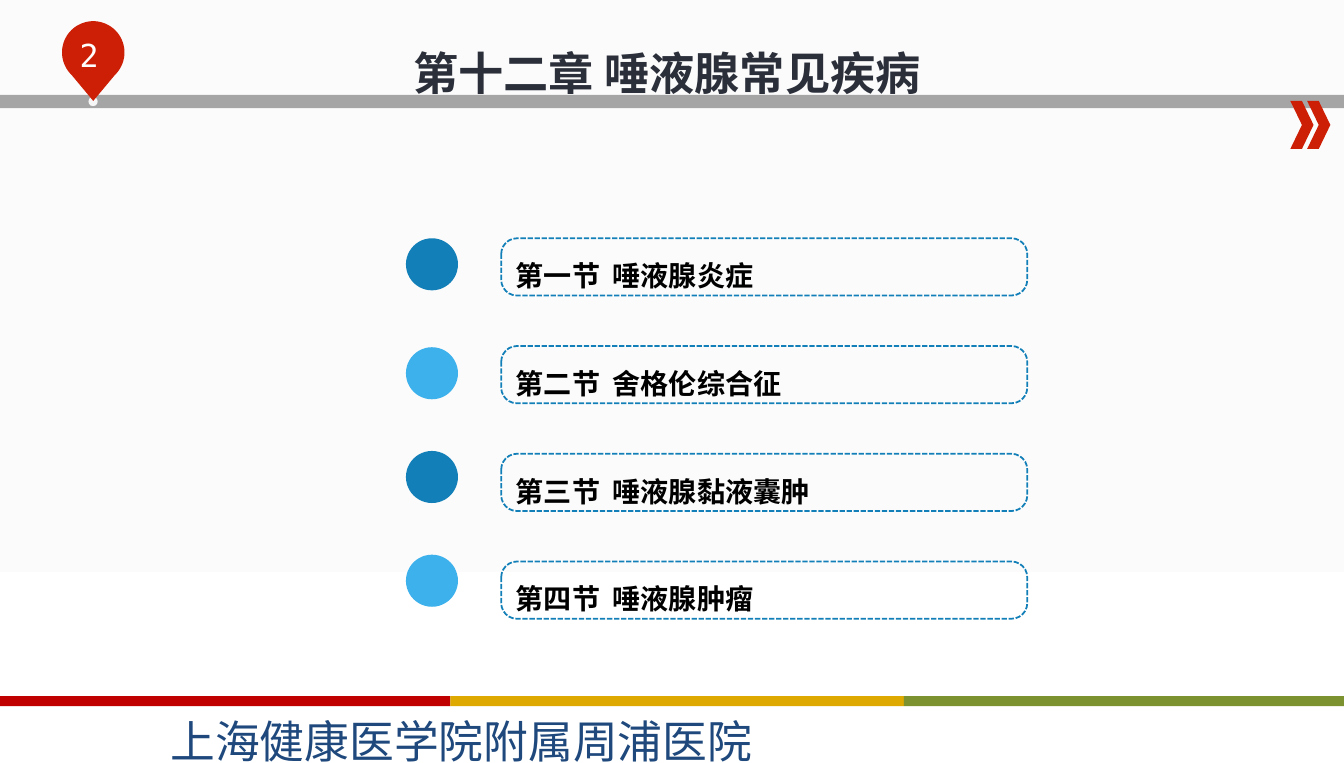
from copy import deepcopy
from math import cos, radians, sin

from lxml import etree
from pptx import Presentation
from pptx.dml.color import RGBColor
from pptx.enum.dml import MSO_LINE
from pptx.enum.shapes import MSO_SHAPE
from pptx.enum.text import MSO_ANCHOR, PP_ALIGN
from pptx.oxml.ns import qn
from pptx.util import Cm, Pt

RECT, OVAL = MSO_SHAPE.RECTANGLE, MSO_SHAPE.OVAL
CHEVRON, ROUND = MSO_SHAPE.CHEVRON, MSO_SHAPE.ROUNDED_RECTANGLE
DASH = MSO_LINE.SQUARE_DOT
LEFT, CENTER = PP_ALIGN.LEFT, PP_ALIGN.CENTER
MIDDLE = MSO_ANCHOR.MIDDLE

BLACK = RGBColor(0x00, 0x00, 0x00)
WHITE = RGBColor(0xFF, 0xFF, 0xFF)
PAPER = RGBColor(0xFB, 0xFB, 0xFB)
PALE = RGBColor(0xF6, 0xF6, 0xF6)
GRAY = RGBColor(0xA5, 0xA5, 0xA5)
INK = RGBColor(0x2B, 0x2F, 0x3A)
NAVY = RGBColor(0x1F, 0x49, 0x7D)
RED = RGBColor(0xCD, 0x1F, 0x06)
CRIMSON = RGBColor(0xC0, 0x00, 0x00)
GOLD = RGBColor(0xDE, 0xA9, 0x00)
GREEN = RGBColor(0x7C, 0x91, 0x2F)
BLUE = RGBColor(0x12, 0x7F, 0xB8)
SKY = RGBColor(0x3C, 0xB1, 0xEC)
HAN = "Noto Sans CJK SC"


def draw(kind, left, top, width, height, fill=None):
    """Add a preset shape, sized in cm, with a plain fill and no line."""
    shape = slide.shapes.add_shape(kind, Cm(left), Cm(top), Cm(width), Cm(height))
    shape.shadow.inherit = False
    shape.line.fill.background()
    if fill is None:
        shape.fill.background()
    else:
        shape.fill.solid()
        shape.fill.fore_color.rgb = fill
    return shape


def write(shape, text, size, font, color, bold=False, align=LEFT, wrap=True):
    shape.text_frame.word_wrap = wrap
    para = shape.text_frame.paragraphs[0]
    para.alignment = align
    run = para.add_run()
    run.text = text
    run.font.size = Pt(size)
    run.font.name = font
    run.font.bold = bold
    run.font.color.rgb = color
    etree.SubElement(run.font._element, qn("a:ea"), typeface=HAN)
    return para


deck = Presentation()
deck.slide_width = Cm(33.57)
deck.slide_height = Cm(19.05)
slide = deck.slides.add_slide(deck.slide_layouts[6])

# Background: even to the middle, then fading to white
back = slide.background.fill
back.gradient()
back.gradient_angle = 270
first = next(slide._element.iter(qn("a:gs")))
first.addnext(deepcopy(first))
for stop, place, color in zip(back.gradient_stops, (0, 0.5, 1), (PAPER, PAPER, WHITE)):
    stop.position = place
    stop.color.rgb = color

# Header band, chevrons and numbered pin
draw(RECT, 0, 2.37, 33.57, 0.33, GRAY)
for left in (32.23, 32.65):
    draw(CHEVRON, left, 2.52, 0.58, 1.2, RED)
draw(OVAL, 2.21, 2.42, 0.23, 0.23, PALE)

mid, level, radius = 2.33, 1.31, 0.78
arc = [(Cm(mid + radius * cos(radians(a))), Cm(level + radius * sin(radians(a))))
       for a in range(134, 407, 4)]
form = slide.shapes.build_freeform(Cm(mid), Cm(2.52))
form.add_line_segments(arc, close=True)
pin = form.convert_to_shape()
pin.shadow.inherit = False
pin.fill.solid()
pin.fill.fore_color.rgb = RED
pin.line.fill.background()

label = slide.shapes.add_textbox(Cm(1.14), Cm(0.77), Cm(2.18), Cm(1.04))
write(label, "2", 22.4, "DejaVu Sans Mono", WHITE, align=CENTER)

title = slide.shapes.add_textbox(Cm(2.06), Cm(1.01), Cm(29.21), Cm(1.9))
write(title, "第十二章 唾液腺常见疾病", 32, "Calibri", INK, bold=True, align=CENTER)

# Footer
edges = (0, 11.25, 22.58, 33.57)
for left, right, color in zip(edges, edges[1:], (CRIMSON, GOLD, GREEN)):
    draw(RECT, left, 17.38, right - left, 0.25, color)
footer = slide.shapes.add_textbox(Cm(4.01), Cm(17.69), Cm(15.04), Cm(1.36))
write(footer, "上海健康医学院附属周浦医院", 31.7, HAN, NAVY, wrap=False)

# Sections
sections = (
    ("第一节\t唾液腺炎症", 5.95, BLUE),
    ("第二节\t舍格伦综合征", 8.67, SKY),
    ("第三节\t唾液腺黏液囊肿", 11.26, BLUE),
    ("第四节\t唾液腺肿瘤", 13.85, SKY),
)
for row, (name, top, color) in enumerate(sections):
    draw(OVAL, 10.14, top, 1.3, 1.3, color)
    box = draw(ROUND, 12.52, 5.95 + 2.69 * row, 13.14, 1.43)
    box.adjustments[0] = 0.275
    box.line.color.rgb = BLUE
    box.line.width = Pt(1.25)
    box.line.dash_style = DASH
    box.text_frame.vertical_anchor = MIDDLE
    para = write(box, name, 19.9, "Times New Roman", BLACK, bold=True)
    para.line_spacing = 1.5
    tabs = etree.SubElement(para._p.get_or_add_pPr(), qn("a:tabLst"))
    etree.SubElement(tabs, qn("a:tab"), pos=str(Cm(2.42)), algn="l")

deck.save("out.pptx")
